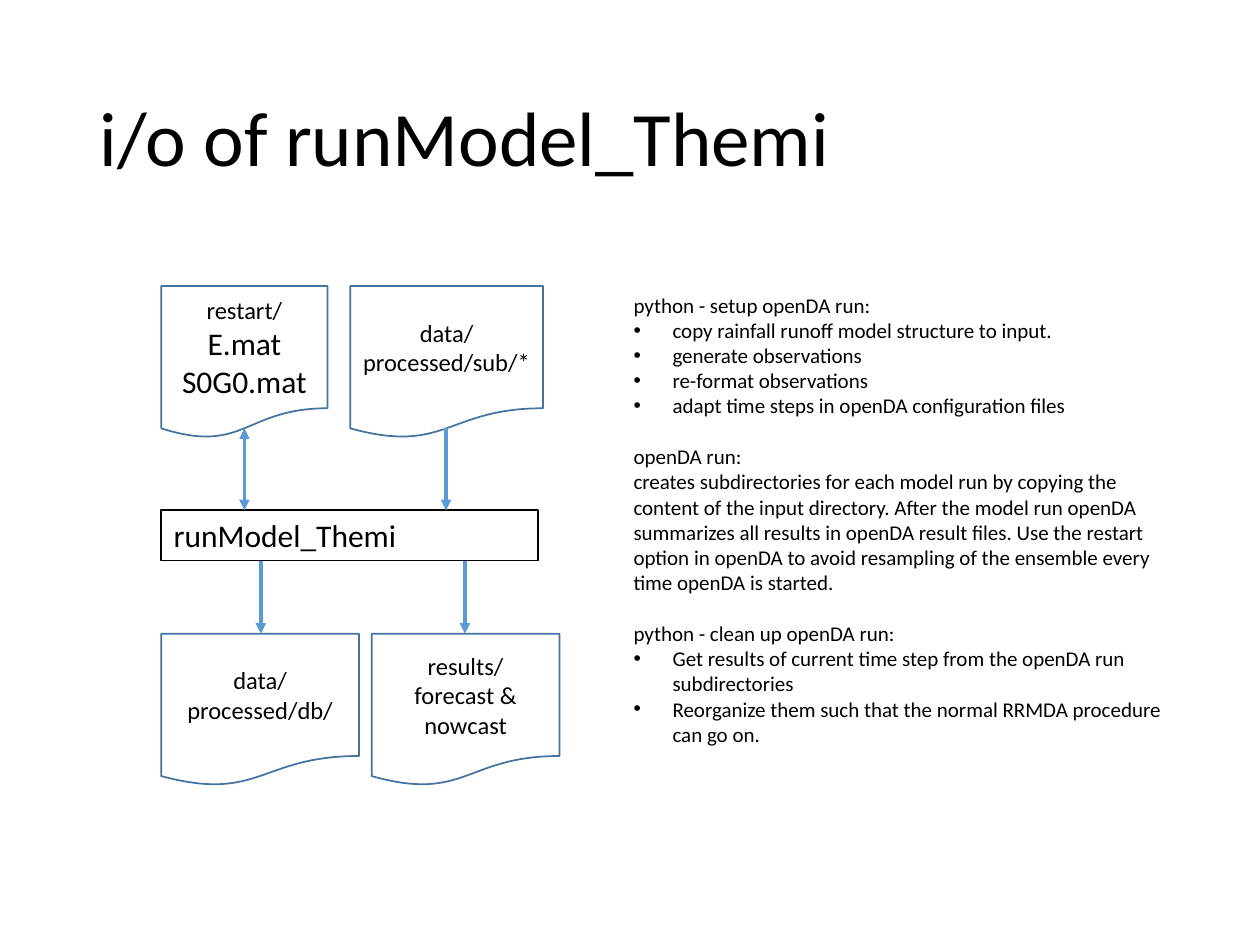
import pptx
import pptx.util
import pptx.dml.color
import pptx.enum.shapes
import pptx.enum.text
import pptx.oxml
import pptx.oxml.ns
from pptx.util import Inches

BLACK = pptx.dml.color.RGBColor(0x00, 0x00, 0x00)
WHITE = pptx.dml.color.RGBColor(0xFF, 0xFF, 0xFF)
OUTLINE = pptx.dml.color.RGBColor(0x43, 0x73, 0x9E)
ARROW = pptx.dml.color.RGBColor(0x5B, 0x9B, 0xD5)
ALIGN = pptx.enum.text.PP_ALIGN
ANCHOR = pptx.enum.text.MSO_ANCHOR
SHAPE = pptx.enum.shapes.MSO_SHAPE


def add_element(parent, tag, **attributes):
    element = pptx.oxml.parse_xml(f"<a:{tag} {pptx.oxml.ns.nsdecls('a')}/>")
    for name, value in attributes.items():
        element.set(name, value)
    parent.append(element)


def write_lines(frame, lines, alignment):
    frame.word_wrap = True
    for index, (text, size) in enumerate(lines):
        para = frame.paragraphs[0] if index == 0 else frame.add_paragraph()
        para.text = text
        para.alignment = alignment
        para.font.size = pptx.util.Pt(size)
        para.font.name = "Calibri"
        para.font.color.rgb = BLACK


deck = pptx.Presentation()
deck.slide_width = Inches(10)
deck.slide_height = Inches(7.5)
page = deck.slides.add_slide(deck.slide_layouts[5])

title = page.shapes.title
title.left, title.top = Inches(0.69), Inches(0.4)
title.width, title.height = Inches(8.62), Inches(1.45)
write_lines(title.text_frame, [("i/o of runModel_Themi", 44)], ALIGN.LEFT)
title.text_frame.vertical_anchor = ANCHOR.MIDDLE
title.text_frame.paragraphs[0].line_spacing = 0.9

model = page.shapes.add_shape(
    SHAPE.RECTANGLE, Inches(1.28), Inches(4.05), Inches(2.99), Inches(0.4))
model.shadow.inherit = False
model.fill.solid()
model.fill.fore_color.rgb = WHITE
model.line.color.rgb = BLACK
model.line.width = pptx.util.Pt(1)
write_lines(model.text_frame, [("runModel_Themi", 18)], ALIGN.LEFT)
model.text_frame.vertical_anchor = ANCHOR.TOP

documents = [
    (1.28, 2.27, 1.32, [("restart/", 14), ("E.mat", 18), ("S0G0.mat", 18)]),
    (2.78, 2.27, 1.53, [("data/processed/sub/*", 14)]),
    (1.28, 5.03, 1.57, [("data/processed/db/", 14)]),
    (2.95, 5.03, 1.49, [("results/", 14), ("forecast &", 14), ("nowcast", 14)]),
]
for left, top, width, lines in documents:
    document = page.shapes.add_shape(
        SHAPE.FLOWCHART_DOCUMENT, Inches(left), Inches(top), Inches(width), Inches(1.21))
    document.shadow.inherit = False
    document.fill.background()
    document.line.color.rgb = OUTLINE
    document.line.width = pptx.util.Pt(1)
    write_lines(document.text_frame, lines, ALIGN.CENTER)
    document.text_frame.vertical_anchor = ANCHOR.MIDDLE

arrows = [
    (1.94, 3.4, 4.05, ["headEnd", "tailEnd"]),
    (3.54, 3.4, 4.05, ["tailEnd"]),
    (2.07, 4.45, 5.03, ["tailEnd"]),
    (3.69, 4.45, 5.03, ["tailEnd"]),
]
for x, start, end, ends in arrows:
    arrow = page.shapes.add_connector(
        pptx.enum.shapes.MSO_CONNECTOR.STRAIGHT,
        Inches(x), Inches(start), Inches(x), Inches(end))
    arrow.line.color.rgb = ARROW
    arrow.line.width = pptx.util.Pt(2)
    for tag in ends:
        add_element(arrow.line._get_or_add_ln(), tag, type="triangle")
    add_element(arrow._element.spPr, "effectLst")

sections = [
    ("python - setup openDA run:", True, [
        "copy rainfall runoff model structure to input.",
        "generate observations",
        "re-format observations",
        "adapt time steps in openDA configuration files"]),
    ("openDA run:", False, [
        "creates subdirectories for each model run by copying the content of the input "
        "directory. After the model run openDA summarizes all results in openDA result "
        "files. Use the restart option in openDA to avoid resampling of the ensemble "
        "every time openDA is started."]),
    ("python - clean up openDA run:", True, [
        "Get results of current time step from the openDA run subdirectories",
        "Reorganize them such that the normal RRMDA procedure can go on."]),
]
notes = page.shapes.add_textbox(Inches(4.93), Inches(2.27), Inches(4.53), Inches(3.74))
write_lines(
    notes.text_frame,
    [(text, 12) for heading, _, items in sections for text in [heading, *items]],
    ALIGN.LEFT)
paragraphs = iter(notes.text_frame.paragraphs)
for index, (heading, bulleted, items) in enumerate(sections):
    para = next(paragraphs)
    if index > 0:
        para.space_before = pptx.util.Pt(14.6)
    for item in items:
        para = next(paragraphs)
        if bulleted:
            properties = para._p.get_or_add_pPr()
            properties.set("marL", str(Inches(0.31)))
            properties.set("indent", str(-Inches(0.31)))
            bullet_font = pptx.oxml.parse_xml(
                f"<a:buFont {pptx.oxml.ns.nsdecls('a')} typeface='Arial'/>")
            properties.insert_element_before(bullet_font, "a:defRPr")
            bullet = pptx.oxml.parse_xml(
                f"<a:buChar {pptx.oxml.ns.nsdecls('a')} char='•'/>")
            properties.insert_element_before(bullet, "a:defRPr")

deck.save("out.pptx")
